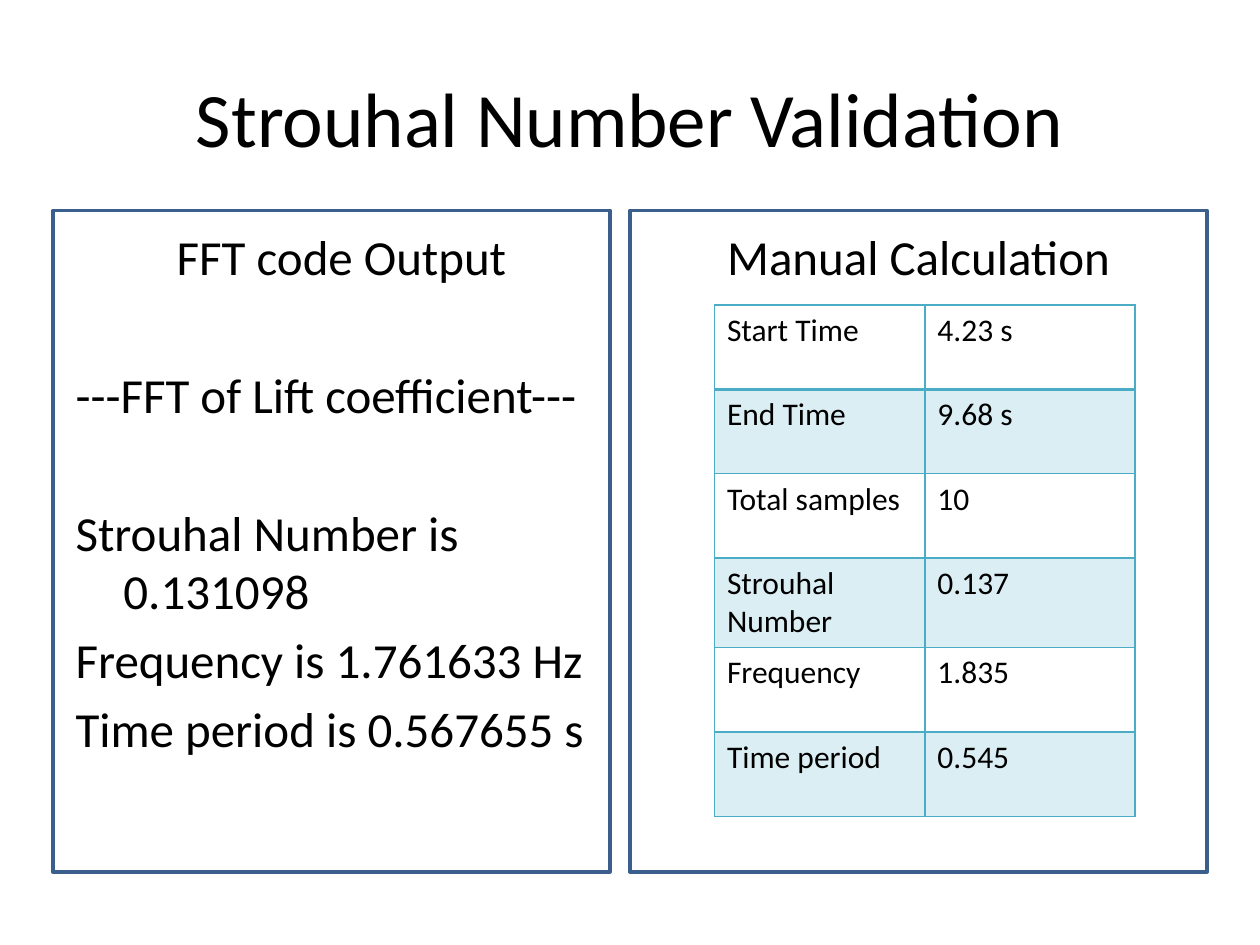
from dataclasses import dataclass

from lxml import etree
from pptx import Presentation
from pptx.dml.color import RGBColor
from pptx.enum.shapes import MSO_SHAPE
from pptx.enum.text import MSO_ANCHOR, PP_ALIGN
from pptx.oxml.ns import qn
from pptx.util import Inches, Pt

RECTANGLE = MSO_SHAPE.RECTANGLE
CENTER, LEFT = PP_ALIGN.CENTER, PP_ALIGN.LEFT
MIDDLE = MSO_ANCHOR.MIDDLE

FONT = "Calibri"
BLACK, FRAME_BLUE, TEAL = "000000", "3A5F8C", "4BACC6"
HANGING_INDENT = 0.38
SECTION_GAP = 45  # points before a line that opens a new section
COLUMN_WIDTH, ROW_HEIGHT = 1.67, 0.67


@dataclass(frozen=True)
class Box:
    left: float
    top: float
    width: float
    height: float

    def emu(self) -> tuple:
        return tuple(Inches(v) for v in (self.left, self.top, self.width, self.height))


@dataclass(frozen=True)
class Line:
    text: str
    align: PP_ALIGN = LEFT
    opens_section: bool = False


@dataclass(frozen=True)
class Panel:
    content: Box
    frame: Box
    lines: tuple


PANELS = (
    Panel(Box(0.5, 1.75, 4.42, 4.95), Box(0.42, 1.67, 4.42, 5.25), (
        Line("FFT code Output", CENTER),
        Line("---FFT of Lift coefficient---", opens_section=True),
        Line("Strouhal Number is 0.131098", opens_section=True),
        Line("Frequency is 1.761633 Hz"),
        Line("Time period is 0.567655 s"),
    )),
    Panel(Box(5.08, 1.75, 4.42, 4.95), Box(5, 1.67, 4.58, 5.25), (
        Line("Manual Calculation", CENTER),
    )),
)

MEASUREMENTS = (
    ("Start Time", "4.23 s"),
    ("End Time", "9.68 s"),
    ("Total samples", "10"),
    ("Strouhal Number", "0.137"),
    ("Frequency", "1.835"),
    ("Time period", "0.545"),
)


def color(hex_code: str) -> RGBColor:
    return RGBColor.from_string(hex_code)


def style(paragraph, size: float) -> None:
    paragraph.font.name = FONT
    paragraph.font.size = Pt(size)
    paragraph.font.color.rgb = color(BLACK)


def place(shape, box: Box) -> None:
    shape.left, shape.top, shape.width, shape.height = box.emu()


def write_lines(placeholder, panel: Panel) -> None:
    place(placeholder, panel.content)
    frame = placeholder.text_frame
    for index, line in enumerate(panel.lines):
        paragraph = frame.add_paragraph() if index else frame.paragraphs[0]
        paragraph.text = line.text
        paragraph.alignment = line.align
        style(paragraph, 28)
        if line.opens_section:
            paragraph.space_before = Pt(SECTION_GAP)
        # Hanging indent without a bullet
        properties = paragraph._p.get_or_add_pPr()
        properties.set("marL", str(Inches(HANGING_INDENT)))
        properties.set("indent", str(-Inches(HANGING_INDENT)))
        etree.SubElement(properties, qn("a:buNone"))


def draw_frame(slide, box: Box) -> None:
    outline = slide.shapes.add_shape(RECTANGLE, *box.emu())
    outline.shadow.inherit = False
    outline.fill.background()
    outline.line.color.rgb = color(FRAME_BLUE)
    outline.line.width = Pt(2)


def add_border(cell, side: str, width: float) -> None:
    border = etree.SubElement(cell._tc.get_or_add_tcPr(), qn(f"a:ln{side}"), w=str(Pt(width)))
    fill = etree.SubElement(border, qn("a:solidFill"))
    etree.SubElement(fill, qn("a:srgbClr"), val=TEAL)


def format_cell(cell, text: str, row: int) -> None:
    cell.text = text
    style(cell.text_frame.paragraphs[0], 18)
    # The rule under the first row is heavier
    for side in "LRTB":
        heavy = (row, side) in ((0, "B"), (1, "T"))
        add_border(cell, side, 2 if heavy else 1)
    if row % 2 == 0:
        cell.fill.background()
        return
    cell.fill.solid()
    cell.fill.fore_color.rgb = color(TEAL)
    tint = cell._tc.tcPr.find(f"{qn('a:solidFill')}/{qn('a:srgbClr')}")
    etree.SubElement(tint, qn("a:alpha"), val="20000")


def draw_measurements(slide, left: float, top: float) -> None:
    rows, columns = len(MEASUREMENTS), len(MEASUREMENTS[0])
    box = Box(left, top, columns * COLUMN_WIDTH, rows * ROW_HEIGHT)
    table = slide.shapes.add_table(rows, columns, *box.emu()).table
    table.first_row = table.horz_banding = False
    for row, values in enumerate(MEASUREMENTS):
        for column, text in enumerate(values):
            format_cell(table.cell(row, column), text, row)


presentation = Presentation()
presentation.slide_width, presentation.slide_height = Inches(10), Inches(7.5)
slide = presentation.slides.add_slide(presentation.slide_layouts[3])

# Title
title = slide.shapes.title
place(title, Box(0.5, 0.3, 9, 1.25))
title.text_frame.text = "Strouhal Number Validation"
title.text_frame.vertical_anchor = MIDDLE
heading = title.text_frame.paragraphs[0]
heading.alignment = CENTER
style(heading, 44)

# Panels
for number, panel in enumerate(PANELS, start=1):
    write_lines(slide.placeholders[number], panel)
for panel in PANELS:
    draw_frame(slide, panel.frame)

# Manual calculation table
draw_measurements(slide, 5.67, 2.42)

presentation.save("out.pptx")
